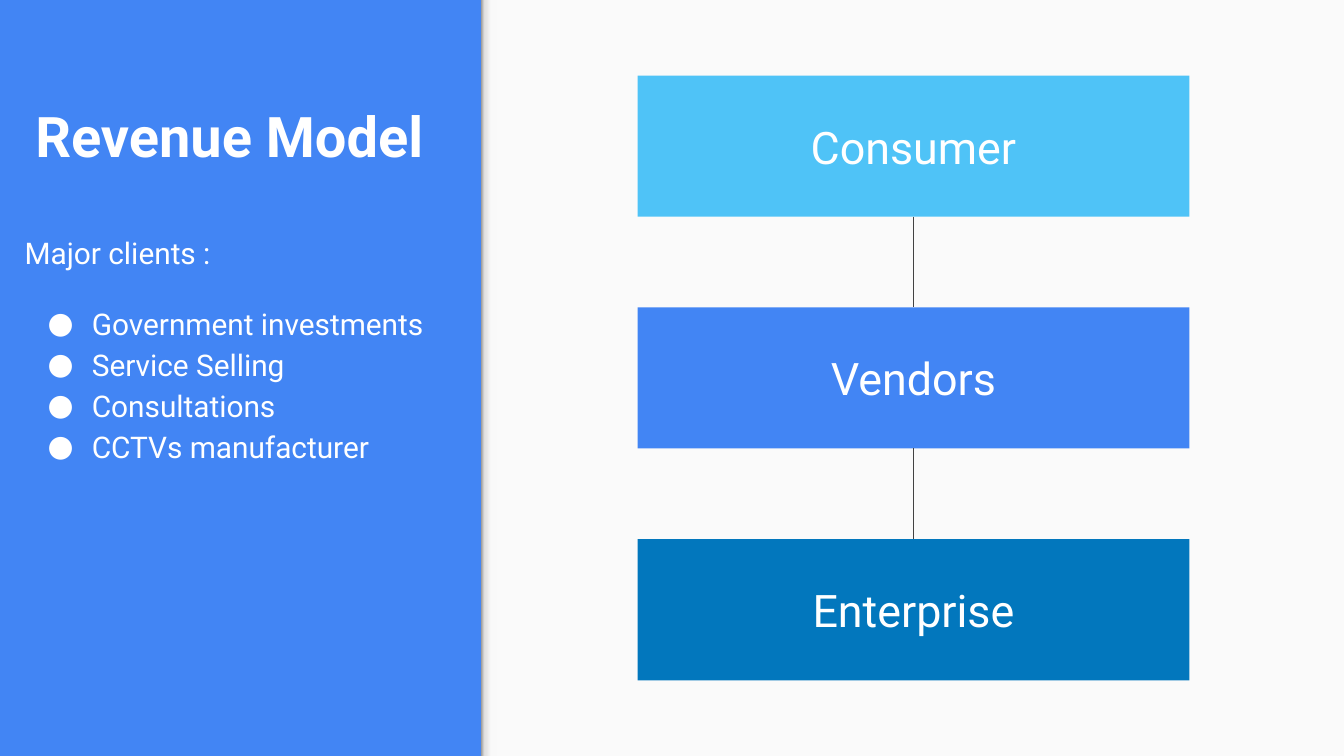
from lxml import etree
from pptx import Presentation
from pptx import util as u
from pptx.dml.color import RGBColor
from pptx.enum import shapes, text
from pptx.oxml import ns

WHITE = "FFFFFF"
BLUE = "4285F4"
FONT = "Roboto"
CARDS = [("Consumer", "4FC3F7"), ("Vendors", BLUE), ("Enterprise", "0277BD")]
CLIENTS = ["Government investments", "Service Selling", "Consultations", "CCTVs manufacturer"]
EDGE_STOPS = [(0, "999999"), (20, "DEDEDE"), (64, "F9F9F9"), (100, "F9F9F9")]
CARD_HEIGHT, CARD_GAP = 23.33, 15


def colour(value):
    return RGBColor.from_string(value)


def part(box, left, top, width, height):
    x, y, w, h = box
    return (round(x + w * left / 100), round(y + h * top / 100),
            round(w * width / 100), round(h * height / 100))


def apply(target, values):
    for name, value in values.items():
        setattr(target, name, value)


def add_child(parent, tag, **attributes):
    return etree.SubElement(parent, ns.qn(tag), attributes)


def add_rectangle(slide, box, fill):
    shape = slide.shapes.add_shape(shapes.MSO_SHAPE.RECTANGLE, *box)
    shape.shadow.inherit = False
    shape.fill.solid()
    shape.fill.fore_color.rgb = colour(fill)
    shape.line.fill.background()
    return shape


def format_frame(frame, anchor):
    margins = {f"margin_{side}": u.Inches(0.1) for side in ("left", "top", "right", "bottom")}
    apply(frame, {"word_wrap": True, "vertical_anchor": anchor, **margins})


def write(paragraph, words, size, bold=False, **layout):
    run = paragraph.add_run()
    run.text = words
    apply(paragraph, layout)
    apply(run.font, {"name": FONT, "size": u.Pt(size), "bold": bold})
    run.font.color.rgb = colour(WHITE)


def add_bullet(paragraph):
    properties = paragraph._p.get_or_add_pPr()
    properties.set("marL", str(u.Inches(0.5)))
    properties.set("indent", str(u.Inches(-0.33)))
    bullet_colour = add_child(properties, "a:buClr")
    add_child(bullet_colour, "a:srgbClr", val=WHITE)
    add_child(properties, "a:buFont", typeface=FONT)
    add_child(properties, "a:buChar", char="●")


def add_text(slide, box, anchor):
    frame = slide.shapes.add_textbox(*box).text_frame
    format_frame(frame, anchor)
    return frame


def add_background(slide, box):
    slide.background.fill.solid()
    slide.background.fill.fore_color.rgb = colour(BLUE)
    add_rectangle(slide, part(box, 35.8, 0, 64.2, 100), "FAFAFA")
    edge = add_rectangle(slide, part(box, 35.8, 0, 1.2, 100), "F9F9F9")
    edge.fill.gradient()
    edge.fill.gradient_angle = 0
    stops = edge._element.spPr.find(".//" + ns.qn("a:gsLst"))
    for stop in list(stops):
        stops.remove(stop)
    for position, value in EDGE_STOPS:
        stop = add_child(stops, "a:gs", pos=str(position * 1000))
        add_child(stop, "a:srgbClr", val=value)


def add_clients(slide, box):
    title = add_text(slide, part(box, 4.6, 2.55, 94.69, 21.53), text.MSO_ANCHOR.BOTTOM)
    write(title.paragraphs[0], "Revenue Model", 30, bold=True)
    body = add_text(slide, part(box, 2.4, 28.5, 94.69, 61.5), text.MSO_ANCHOR.TOP)
    write(body.paragraphs[0], "Major clients :", 16, line_spacing=1.15)
    for index, client in enumerate(CLIENTS):
        paragraph = body.add_paragraph()
        add_bullet(paragraph)
        write(paragraph, client, 16, line_spacing=1.15,
              space_before=u.Pt(0 if index else 16))


def add_diagram(slide, box):
    cards = []
    for index, (label, fill) in enumerate(CARDS):
        top = index * (CARD_HEIGHT + CARD_GAP)
        card = add_rectangle(slide, part(box, 0, top, 100, CARD_HEIGHT), fill)
        format_frame(card.text_frame, text.MSO_ANCHOR.MIDDLE)
        write(card.text_frame.paragraphs[0], label, 24, alignment=text.PP_ALIGN.CENTER)
        cards.append(card)
    for upper, lower in zip(cards, cards[1:]):
        line = slide.shapes.add_connector(shapes.MSO_CONNECTOR.STRAIGHT, 0, 0, 0, 0)
        line.begin_connect(upper, 2)
        line.end_connect(lower, 0)
        line.line.color.rgb = colour("424242")
        line.line.width = u.Pt(0.75)
        add_child(line._element.spPr, "a:effectLst")


def main():
    presentation = Presentation()
    width = u.Inches(10)
    apply(presentation, {"slide_width": width, "slide_height": width * 9 // 16})
    slide = presentation.slides.add_slide(presentation.slide_layouts[6])
    page = (0, 0, presentation.slide_width, presentation.slide_height)
    add_background(slide, page)
    add_clients(slide, part(page, 0, 0, 35.8, 100))
    add_diagram(slide, part(page, 47.44, 10, 41.05, 80))
    presentation.save("out.pptx")


if __name__ == "__main__":
    main()
